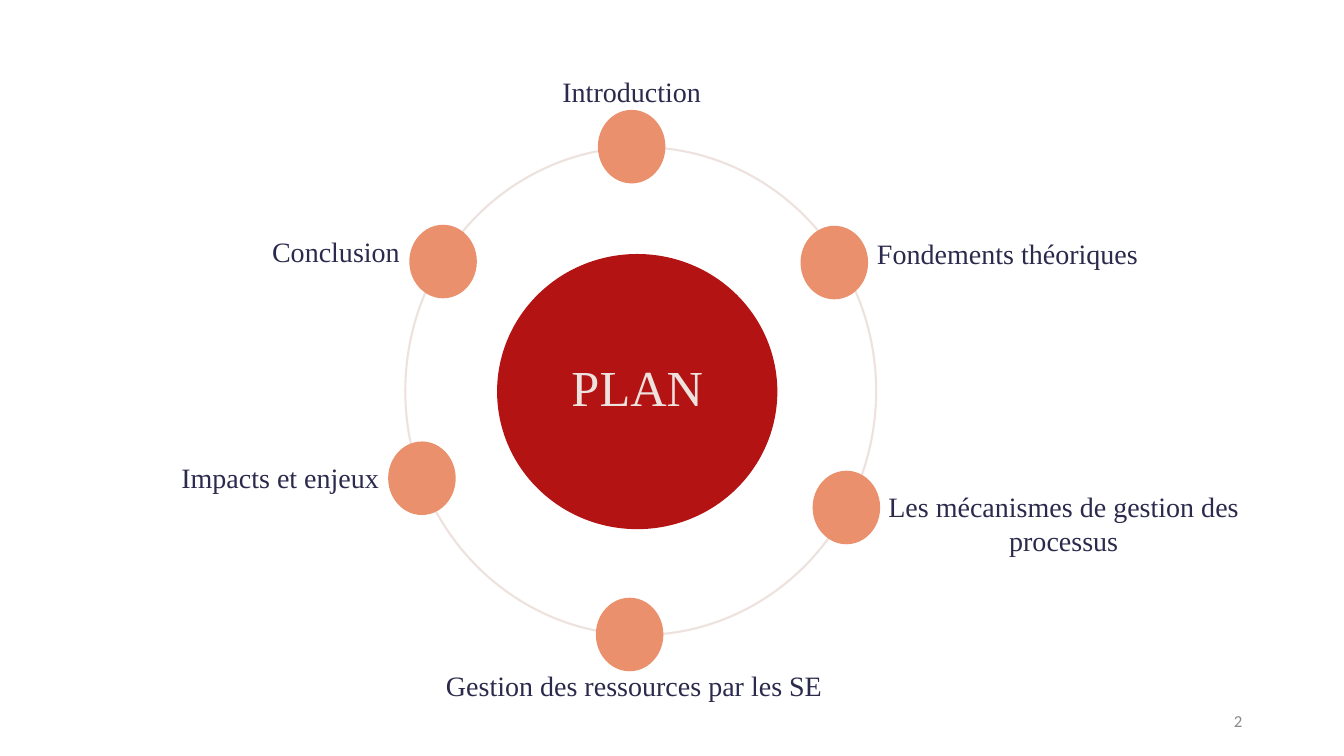
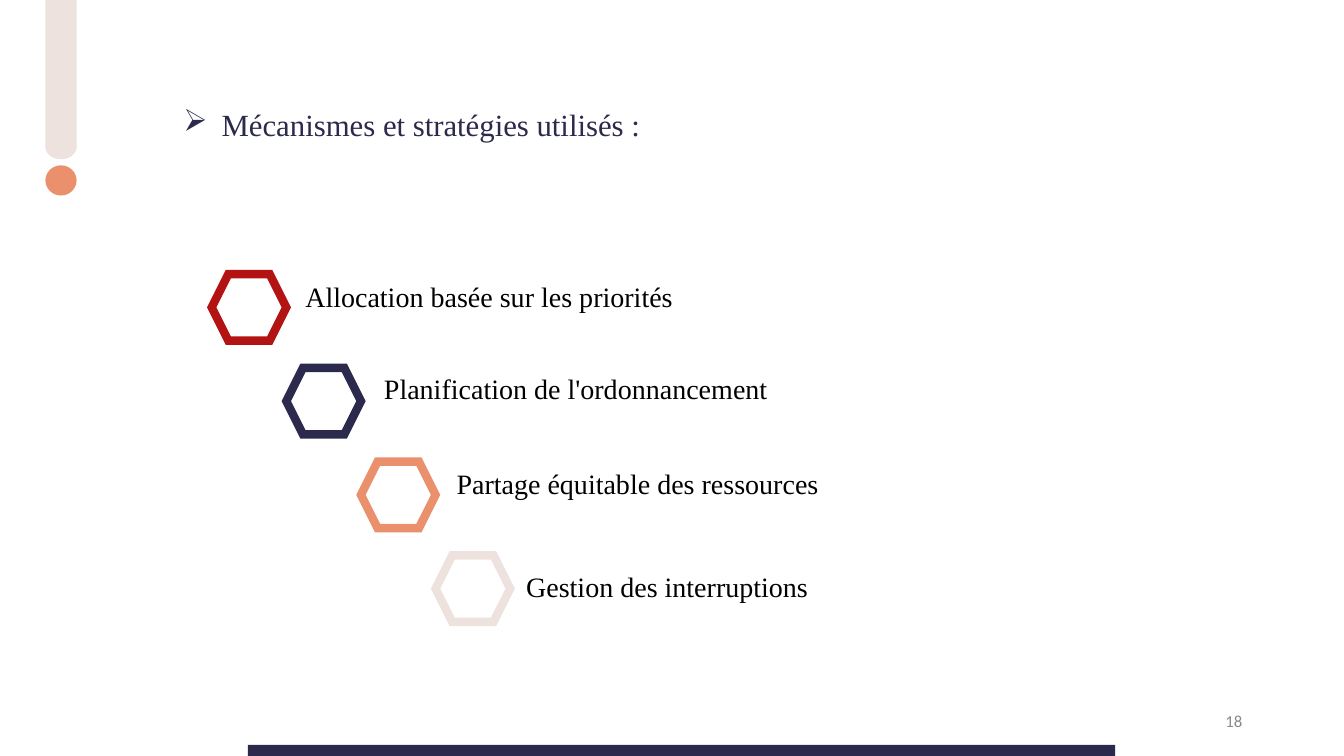
from lxml import etree
from pptx import Presentation
from pptx.dml.color import RGBColor
from pptx.enum.shapes import MSO_SHAPE
from pptx.enum.text import MSO_ANCHOR, MSO_AUTO_SIZE, PP_ALIGN
from pptx.oxml.ns import qn
from pptx.util import Emu, Pt

EMU_PER_PX = 9144  # 100 px to the inch

RED = RGBColor(0xB3, 0x13, 0x13)
NAVY = RGBColor(0x2B, 0x2A, 0x4C)
ORANGE = RGBColor(0xEA, 0x90, 0x6D)
BEIGE = RGBColor(0xED, 0xE2, 0xDE)
BLACK = RGBColor(0x00, 0x00, 0x00)
GREY = RGBColor(0x89, 0x89, 0x89)

SERIF = "Times New Roman"
SANS = "Calibri"
LABEL_SIZE = 20

OVAL, RECT, HEXAGON = MSO_SHAPE.OVAL, MSO_SHAPE.RECTANGLE, MSO_SHAPE.HEXAGON
LEFT, CENTER, RIGHT = PP_ALIGN.LEFT, PP_ALIGN.CENTER, PP_ALIGN.RIGHT
TOP, MIDDLE = MSO_ANCHOR.TOP, MSO_ANCHOR.MIDDLE
GROW, FIXED = MSO_AUTO_SIZE.SHAPE_TO_FIT_TEXT, MSO_AUTO_SIZE.NONE


def px(*lengths):
    return [Emu(length * EMU_PER_PX) for length in lengths]


class Deck:
    def __init__(self, width, height):
        self.presentation = Presentation()
        (self.presentation.slide_width,
         self.presentation.slide_height) = px(width, height)
        self.slide = None

    def new_slide(self, number):
        blank = self.presentation.slide_layouts[6]
        self.slide = self.presentation.slides.add_slide(blank)
        self.text(number, (942, 695, 300, 40), GREY, 12, SANS,
                  RIGHT, MIDDLE, FIXED)

    def shape(self, preset, box, fill=None, line=None, line_width=0):
        """Add a preset shape; without fill or line that part is empty."""
        shape = self.slide.shapes.add_shape(preset, *px(*box))
        shape.shadow.inherit = False
        if fill is None:
            shape.fill.background()
        else:
            shape.fill.solid()
            shape.fill.fore_color.rgb = fill
        if line is None:
            shape.line.fill.background()
        else:
            shape.line.color.rgb = line
            shape.line.width = Pt(line_width)
            outline = shape.line._get_or_add_ln()
            etree.SubElement(outline, qn("a:miter"), lim="800000")

    def text(self, words, box, color=NAVY, size=LABEL_SIZE, font=SERIF,
             align=LEFT, anchor=TOP, fit=GROW):
        frame = self.slide.shapes.add_textbox(*px(*box)).text_frame
        frame.word_wrap = True
        frame.auto_size = fit
        frame.vertical_anchor = anchor
        paragraph = frame.paragraphs[0]
        paragraph.text = words
        paragraph.alignment = align
        paragraph.font.name = font
        paragraph.font.size = Pt(size)
        paragraph.font.color.rgb = color
        return paragraph

    def arrow_heading(self, words, box):
        paragraph = self.text(words, box, size=22)
        properties = paragraph._p.get_or_add_pPr()
        indent = px(38)[0]
        properties.set("marL", str(indent))
        properties.set("indent", str(-indent))
        bullet = etree.Element(qn("a:buChar"), char="➢")
        properties.insert(0, bullet)


def plan_slide(deck):
    deck.new_slide("2")
    deck.shape(OVAL, (493, 252, 278, 273), fill=RED)
    deck.shape(OVAL, (402, 146, 467, 484), line=BEIGE, line_width=1.5)
    deck.text("PLAN", (557, 348, 176, 71), BEIGE, 36)

    chapters = [  # name, dot left and top, label box, alignment
        ("Introduction", 593, 109, (548, 69, 227, 44), LEFT),
        ("Fondements théoriques", 794, 224, (860, 230, 466, 44), LEFT),
        ("Les mécanismes de gestion des processus", 806, 467,
         (822, 481, 466, 77), CENTER),
        ("Gestion des ressources par les SE", 591, 593,
         (396, 658, 466, 44), CENTER),
        ("Impacts et enjeux", 385, 438, (170, 452, 466, 44), LEFT),
        ("Conclusion", 406, 223, (260, 228, 466, 44), LEFT),
    ]
    for name, dot_left, dot_top, label_box, align in chapters:
        deck.shape(OVAL, (dot_left, dot_top, 67, 73), fill=ORANGE)
        deck.text(name, label_box, align=align)


def strategies_slide(deck):
    deck.new_slide("18")
    deck.shape(RECT, (45, 0, 31, 146), fill=BEIGE)
    deck.shape(OVAL, (45, 134, 31, 24), fill=BEIGE)
    deck.shape(OVAL, (45, 164, 31, 30), fill=ORANGE)
    deck.shape(RECT, (246, 739, 860, 11), fill=NAVY)
    deck.arrow_heading("Mécanismes et stratégies utilisés :",
                       (172, 100, 719, 47))

    strategies = [  # name, hexagon colour, label left and top
        ("Allocation basée sur les priorités", RED, 293, 272),
        ("Planification de l'ordonnancement", NAVY, 371, 364),
        ("Partage équitable des ressources", ORANGE, 443, 458),
        ("Gestion des interruptions", BEIGE, 512, 560),
    ]
    for step, (name, color, label_left, label_top) in enumerate(strategies):
        deck.shape(HEXAGON, (210 + 74 * step, 272 + 93 * step, 74, 66),
                   line=color, line_width=6)
        deck.text(name, (label_left, label_top, 430, 44), BLACK)


def main():
    deck = Deck(1333, 750)
    plan_slide(deck)
    strategies_slide(deck)
    deck.presentation.save("out.pptx")


if __name__ == "__main__":
    main()
